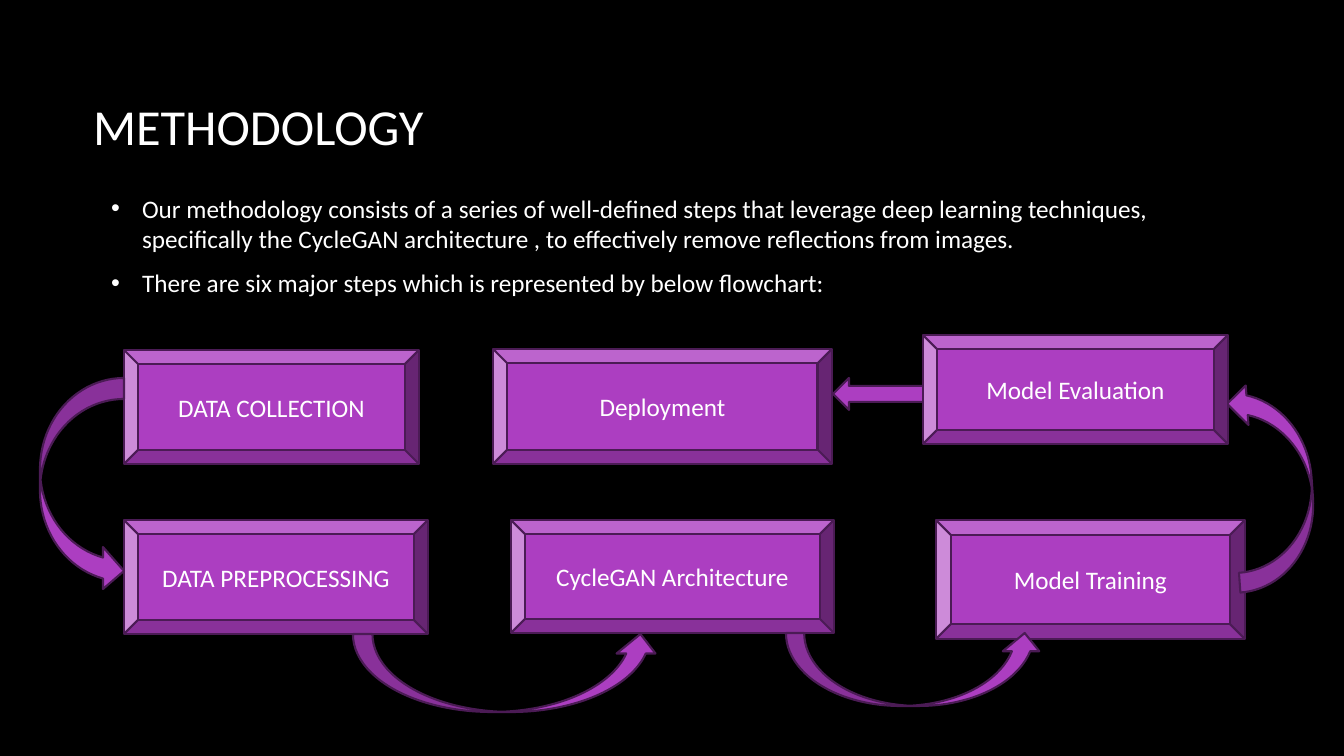
"""Build the methodology slide: title, two bullets and a six-step flowchart."""
from pptx import Presentation
from pptx.dml.color import RGBColor
from pptx.enum.shapes import MSO_SHAPE as Preset
from pptx.enum.text import MSO_ANCHOR as Anchor, MSO_AUTO_SIZE as AutoSize, PP_ALIGN as Align
from pptx.oxml.ns import qn
from pptx.util import Emu, Pt
from lxml.etree import SubElement

SLIDE_SIZE = (1344, 756)
PX = 12192000 / SLIDE_SIZE[0]
FONT = "Calibri"
COLORS = {"background": "000000", "text": "FFFFFF", "fill": "AC3EC1", "line": "4B1B55"}
BULLET_INDENT = 31

TITLE = ("METHODOLOGY", (83, 45, 1117, 160))
BULLETS = [
    "Our methodology consists of a series of well-defined steps that leverage deep learning "
    "techniques, specifically the CycleGAN architecture , to effectively remove reflections "
    "from images.",
    "There are six major steps which is represented by below flowchart:",
]
BULLETS_BOX = (101, 188, 1079, 160)
FLOWCHART = [
    (Preset.BEVEL, "DATA COLLECTION", (124, 350, 295, 114), 0),
    (Preset.BEVEL, "DATA PREPROCESSING", (124, 520, 304, 114), 0),
    (Preset.BEVEL, "CycleGAN Architecture", (511, 520, 323, 113), 0),
    (Preset.BEVEL, "Model Training", (936, 520, 309, 119), 0),
    (Preset.CURVED_RIGHT_ARROW, "", (40, 378, 84, 214), 0),
    (Preset.CURVED_UP_ARROW, "", (353, 634, 307, 78), 0),
    (Preset.CURVED_RIGHT_ARROW, "", (1233, 381, 79, 209), 176),
    (Preset.CURVED_UP_ARROW, "", (786, 633, 257, 73), 0),
    (Preset.LEFT_ARROW, "", (833, 378, 141, 32), 0),
    (Preset.BEVEL, "Model Evaluation", (923, 335, 305, 109), 0),
    (Preset.BEVEL, "Deployment", (493, 349, 339, 115), 0),
]


def px(value):
    return Emu(round(value * PX))


def color(name):
    return RGBColor.from_string(COLORS[name])


def format_text(paragraph, size, alignment):
    paragraph.alignment = alignment
    for run in paragraph.runs:
        run.font.name = FONT
        run.font.size = Pt(size)
        run.font.color.rgb = color("text")


def place(shape, box):
    shape.left, shape.top, shape.width, shape.height = map(px, box)


def add_title(slide):
    text, box = TITLE
    title = slide.shapes.title
    place(title, box)
    frame = title.text_frame
    frame.text = text
    frame.auto_size = AutoSize.NONE
    frame.vertical_anchor = Anchor.MIDDLE
    format_text(frame.paragraphs[0], 36, Align.LEFT)


def add_bullets(slide):
    body = slide.placeholders[1]
    place(body, BULLETS_BOX)
    frame = body.text_frame
    frame.text = "\n".join(BULLETS)
    frame.auto_size = AutoSize.NONE
    frame.vertical_anchor = Anchor.TOP
    for paragraph in frame.paragraphs:
        format_text(paragraph, 18, Align.LEFT)
        paragraph.space_before = Pt(0)
        paragraph.space_after = Pt(10)
        properties = paragraph._p.get_or_add_pPr()
        properties.set("marL", str(px(BULLET_INDENT)))
        properties.set("indent", str(-px(BULLET_INDENT)))
        SubElement(properties, qn("a:buFont"), typeface="Arial")
        SubElement(properties, qn("a:buChar"), char="•")


def add_flowchart_part(slide, preset, text, box, rotation):
    shape = slide.shapes.add_shape(preset, *map(px, box))
    shape.rotation = rotation
    shape.shadow.inherit = False
    shape.fill.solid()
    shape.fill.fore_color.rgb = color("fill")
    shape.line.color.rgb = color("line")
    shape.line.width = Pt(1.5)
    if text:
        frame = shape.text_frame
        frame.text = text
        frame.vertical_anchor = Anchor.MIDDLE
        format_text(frame.paragraphs[0], 18, Align.CENTER)


def main():
    presentation = Presentation()
    presentation.slide_width, presentation.slide_height = map(px, SLIDE_SIZE)
    slide = presentation.slides.add_slide(presentation.slide_layouts[1])
    slide.background.fill.solid()
    slide.background.fill.fore_color.rgb = color("background")
    add_title(slide)
    add_bullets(slide)
    for part in FLOWCHART:
        add_flowchart_part(slide, *part)
    presentation.save("out.pptx")


if __name__ == "__main__":
    main()
